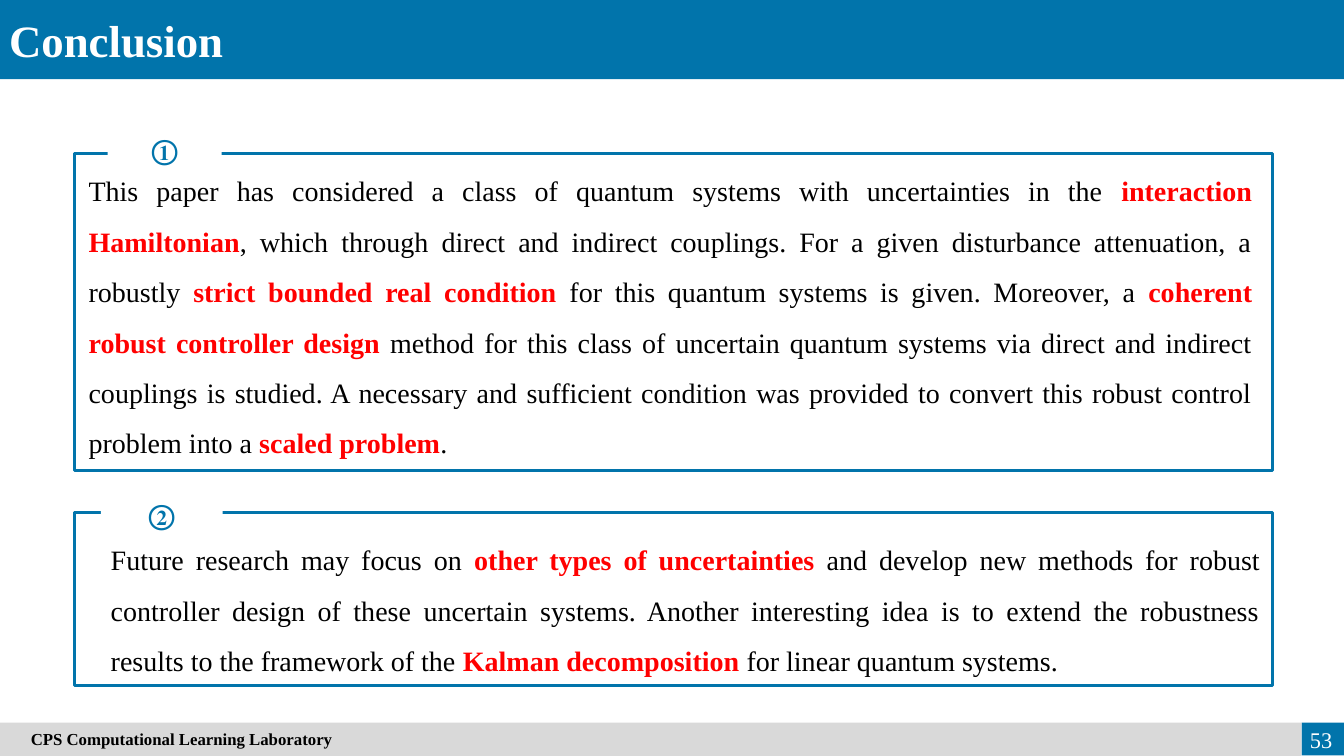
from lxml import etree
from pptx import Presentation
from pptx.dml.color import RGBColor
from pptx.enum import shapes, text
from pptx.oxml import ns
from pptx.util import Pt

BLUE = RGBColor(0x01, 0x74, 0xAB)
GREY = RGBColor(0xD9, 0xD9, 0xD9)
WHITE = RGBColor(255, 255, 255)
BLACK = RGBColor(0, 0, 0)
RED = RGBColor(255, 0, 0)
FONT = "Times New Roman"
WIDTH, HEIGHT = 960, 540

TITLE = "Conclusion"
LABORATORY = "CPS Computational Learning Laboratory"
PAGE_NUMBER = "53"

POINTS = [
    {
        "marker": "①",
        "frame": (53.3, 109.4, 856, 226.8),
        "tab": (77, 87.1, 81.4, 39.6),
        "body": (56.2, 108.7, 845.3, 221),
        "runs": [
            ("This paper has considered a class of quantum systems with uncertainties in the ", False),
            ("interaction Hamiltonian", True),
            (", which through direct and indirect couplings. For a given disturbance "
             "attenuation, a robustly ", False),
            ("strict bounded real condition", True),
            (" for this quantum systems is given. Moreover, a ", False),
            ("coherent robust controller design ", True),
            ("method for this class of uncertain quantum systems via direct and indirect "
             "couplings is studied. A necessary and sufficient condition was provided to "
             "convert this robust control problem into a ", False),
            ("scaled problem", True),
            (".", False),
        ],
    },
    {
        "marker": "②",
        "frame": (53.3, 365.8, 856, 123.8),
        "tab": (72, 347.8, 87.1, 39.6),
        "body": (72, 372.2, 835.2, 112.3),
        "runs": [
            ("Future research may focus on ", False),
            ("other types of uncertainties ", True),
            ("and develop new methods for robust controller design of these uncertain "
             "systems. Another interesting idea is to extend the robustness results to the "
             "framework of the ", False),
            ("Kalman decomposition ", True),
            ("for linear quantum systems.", False),
        ],
    },
]


def add_rectangle(slide, box, fill=None, line=None):
    shape = slide.shapes.add_shape(shapes.MSO_SHAPE.RECTANGLE, *map(Pt, box))
    shape.shadow.inherit = False
    if fill is None:
        shape.fill.background()
    else:
        shape.fill.solid()
        shape.fill.fore_color.rgb = fill
    if line is None:
        shape.line.fill.background()
    else:
        shape.line.color.rgb = line
        shape.line.width = Pt(2.25)
    return shape


def write(shape, runs, size, align, anchor=text.MSO_ANCHOR.TOP, spacing=None):
    frame = shape.text_frame
    frame.word_wrap = True
    frame.auto_size = text.MSO_AUTO_SIZE.NONE
    frame.vertical_anchor = anchor
    paragraph = frame.paragraphs[0]
    paragraph.alignment = align
    if spacing:
        paragraph.line_spacing = spacing
    for words, color, bold in runs:
        run = paragraph.add_run()
        run.text = words
        run.font.name = FONT
        run.font.size = Pt(size)
        run.font.bold = bold
        run.font.color.rgb = color
        east_asian = etree.SubElement(run._r.get_or_add_rPr(), ns.qn("a:ea"))
        east_asian.set("typeface", FONT)


def add_point(slide, point):
    add_rectangle(slide, point["frame"], line=BLUE)
    tab = add_rectangle(slide, point["tab"], fill=WHITE)
    write(tab, [(point["marker"], BLUE, True)], 20,
          text.PP_ALIGN.CENTER, text.MSO_ANCHOR.MIDDLE)
    body = slide.shapes.add_textbox(*map(Pt, point["body"]))
    runs = [(words, RED if key else BLACK, key) for words, key in point["runs"]]
    write(body, runs, 20, text.PP_ALIGN.JUSTIFY, spacing=1.5)


def add_header(slide):
    add_rectangle(slide, (0, 0, WIDTH, 56.6), fill=BLUE)
    title = slide.shapes.title
    title.left, title.top, title.width, title.height = map(Pt, (-0.7, 5.8, 386.6, 46.1))
    write(title, [(TITLE, WHITE, True)], 32, text.PP_ALIGN.JUSTIFY)
    slide.shapes._spTree.append(title._element)


def add_footer(slide):
    top, split = 516.2, 929.7
    add_rectangle(slide, (split, top, WIDTH - split, 23.4), fill=BLUE)
    strip = add_rectangle(slide, (0, top, split, HEIGHT - top), fill=GREY)
    strip.text_frame.margin_left = Pt(22)
    write(strip, [(LABORATORY, BLACK, True)], 12,
          text.PP_ALIGN.LEFT, text.MSO_ANCHOR.MIDDLE)
    number = slide.shapes.add_textbox(*map(Pt, (913.3, 513.7, 45.4, 28.8)))
    write(number, [(PAGE_NUMBER, WHITE, False)], 16,
          text.PP_ALIGN.RIGHT, text.MSO_ANCHOR.MIDDLE)


def main():
    presentation = Presentation()
    presentation.slide_width, presentation.slide_height = Pt(WIDTH), Pt(HEIGHT)
    slide = presentation.slides.add_slide(presentation.slide_layouts[5])
    add_header(slide)
    add_footer(slide)
    for point in POINTS:
        add_point(slide, point)
    presentation.save("out.pptx")


if __name__ == "__main__":
    main()
